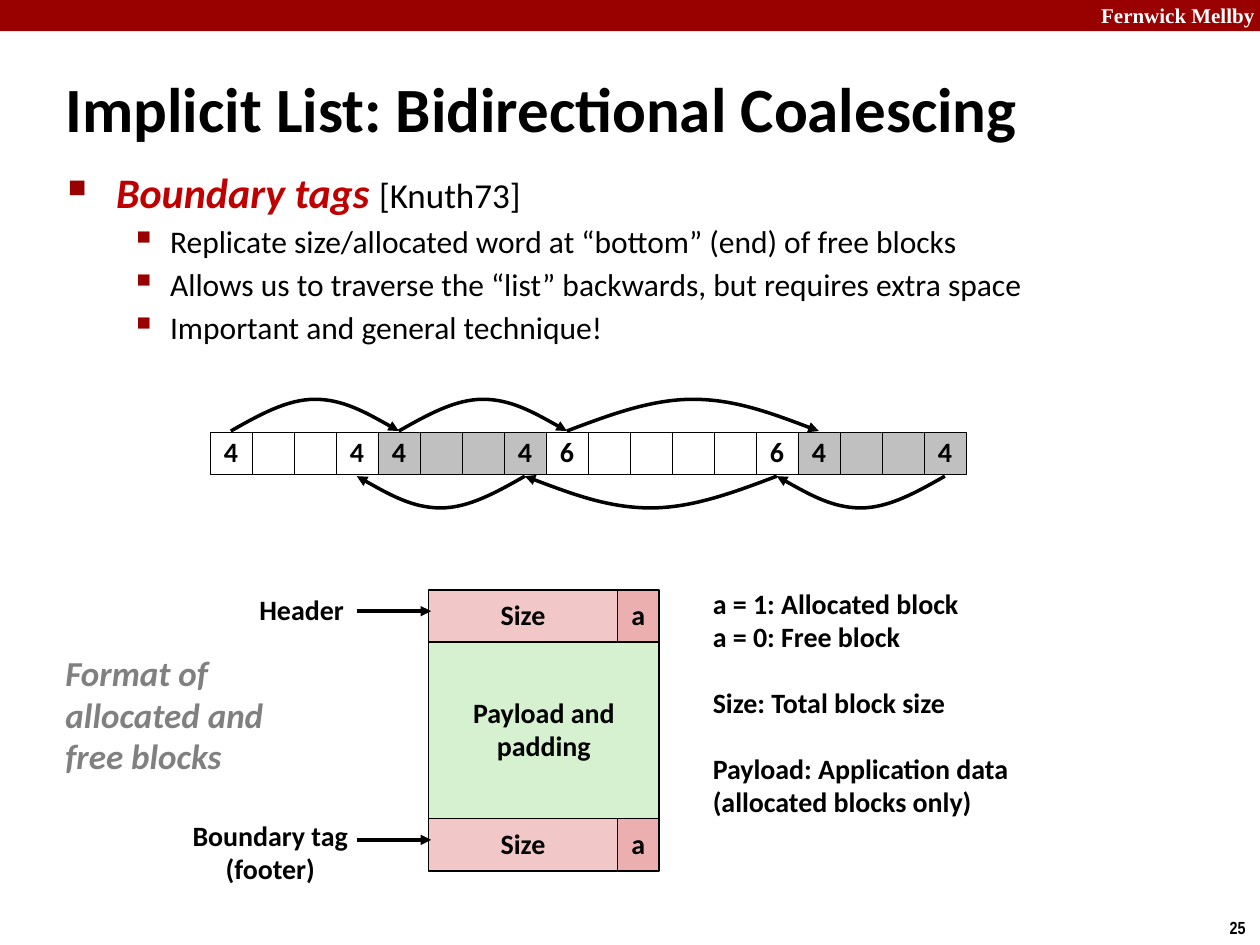
from lxml import etree
from pptx import Presentation
from pptx.dml.color import RGBColor
from pptx.enum.shapes import MSO_CONNECTOR, MSO_SHAPE
from pptx.enum.text import MSO_ANCHOR, MSO_AUTO_SIZE, PP_ALIGN
from pptx.oxml.ns import qn
from pptx.util import Cm, Pt

LEFT, CENTER = PP_ALIGN.LEFT, PP_ALIGN.CENTER
TOP, MIDDLE = MSO_ANCHOR.TOP, MSO_ANCHOR.MIDDLE
RECTANGLE, STRAIGHT = MSO_SHAPE.RECTANGLE, MSO_CONNECTOR.STRAIGHT
NO_AUTOFIT = MSO_AUTO_SIZE.NONE

RED, BLACK, WHITE, GRAY = "990000", "000000", "FFFFFF", "C0C0C0"
PINK, ROSE, GREEN = "F1C7C7", "EBAFAF", "D5F1CF"

TITLE = "Implicit List: Bidirectional Coalescing"
HEADLINE = [("Boundary tags ", dict(size=24, color="C00000", bold=True, italic=True)),
            ("[Knuth73]", dict(size=20, bold=False))]
POINTS = ["Replicate size/allocated word at “bottom” (end) of free blocks",
          "Allows us to traverse the “list” backwards, but requires extra space",
          "Important and general technique!"]
HEAP_BLOCKS = [(4, WHITE), (4, GRAY), (6, WHITE), (4, GRAY)]
FORWARD_LINKS = [(0, 4), (4, 8), (8, 14)]
BACKWARD_LINKS = [(7, 3), (13, 7), (17, 13)]
STRIP_LEFT, STRIP_TOP, CELL = 4.23, 8.71, 15.24 / 18

BLOCK_LEFT, SIZE_WIDTH, FLAG_WIDTH, TAG_HEIGHT = 8.64, 3.81, 0.84, 1.06
HEADER_TOP, PAYLOAD_HEIGHT = 11.89, 3.55
FOOTER_TOP = HEADER_TOP + TAG_HEIGHT + PAYLOAD_HEIGHT

LABELS = [
    (["Format of", "allocated and", "free blocks"], (1.07, 13.06, 4.52, 2.77),
     dict(size=20, color="808080", italic=True)),
    (["Header"], (4.98, 11.86, 2.24, 0.94), {}),
    (["Boundary tag", "(footer)"], (3.61, 16.41, 3.68, 1.6), dict(align=CENTER)),
]
LEGEND = [["a = 1: Allocated block", "a = 0: Free block"],
          ["Size: Total block size"],
          ["Payload: Application data", "(allocated blocks only)"]]


def rgb(value):
    return RGBColor.from_string(value)


def add_span(para, text, size=16, color=BLACK, bold=True, italic=False, font="Calibri"):
    span = para.add_run()
    span.text = text
    span.font.size, span.font.bold, span.font.italic = Pt(size), bold, italic
    span.font.name = font
    span.font.color.rgb = rgb(color)


def write(box, lines, align=LEFT, anchor=TOP, wrap=False, spacing=0.98, gaps=(), **style):
    frame = box.text_frame
    frame.auto_size = NO_AUTOFIT
    frame.word_wrap = wrap
    frame.vertical_anchor = anchor
    for index, line in enumerate(lines):
        para = frame.paragraphs[0] if index == 0 else frame.add_paragraph()
        para.alignment, para.line_spacing = align, spacing
        para.space_before = Pt(19 if index in gaps else 0)
        add_span(para, line, **style)


def add_text(lines, place, **style):
    box = page.shapes.add_textbox(*map(Cm, place))
    write(box, lines, **style)


def add_rect(place, fill, line_width=None, lines=()):
    rect = page.shapes.add_shape(RECTANGLE, *map(Cm, place))
    rect.shadow.inherit = False
    rect.fill.solid()
    rect.fill.fore_color.rgb = rgb(fill)
    if line_width:
        rect.line.color.rgb = rgb(BLACK)
        rect.line.width = Pt(line_width)
    else:
        rect.line.fill.background()
    if lines:
        write(rect, lines, align=CENTER, anchor=MIDDLE)


def style_arrow(arrow):
    arrow.line.color.rgb = rgb(BLACK)
    arrow.line.width = Pt(2)
    etree.SubElement(arrow.line._get_or_add_ln(), qn("a:tailEnd"), type="triangle")


def add_arrow(y):
    arrow = page.shapes.add_connector(STRAIGHT, Cm(7.19), Cm(y), Cm(8.69), Cm(y))
    style_arrow(arrow)
    etree.SubElement(arrow.element.spPr, qn("a:effectLst"))


def add_link(first, last, base, peak):
    start, end = (STRIP_LEFT + (cell + 0.5) * CELL for cell in (first, last))
    middle = (base + peak) / 2
    heights = [base, middle, peak, peak, peak, middle, base]
    points = [(Cm(start + (end - start) * step / 6), Cm(y)) for step, y in enumerate(heights)]
    builder = page.shapes.build_freeform(*points[0])
    builder.add_line_segments(points[1:], close=False)
    link = builder.convert_to_shape()
    link.shadow.inherit = False
    link.fill.background()
    style_arrow(link)
    outline = next(link.element.iter(qn("a:path")))
    segments = outline.findall(qn("a:lnTo"))
    for group in (segments[:3], segments[3:]):
        curve = etree.SubElement(outline, qn("a:cubicBezTo"))
        for segment in group:
            curve.append(segment[0])
            outline.remove(segment)


def add_bullet(para, char, percent, margin, hanging, spacing, before):
    para.line_spacing, para.space_before = spacing, Pt(before)
    props = para._p.get_or_add_pPr()
    props.set("marL", str(Cm(margin)))
    props.set("indent", str(-Cm(hanging)))
    color = etree.SubElement(props, qn("a:buClr"))
    etree.SubElement(color, qn("a:srgbClr"), val=RED)
    etree.SubElement(props, qn("a:buSzPct"), val=str(percent * 1000))
    etree.SubElement(props, qn("a:buChar"), char=char)


deck = Presentation()
deck.slide_width, deck.slide_height = Cm(25.4), Cm(19.05)
page = deck.slides.add_slide(deck.slide_layouts[5])

title = page.shapes.title
title.left, title.top, title.width, title.height = map(Cm, (1.07, 1.37, 24.33, 1.6))
write(title, [TITLE], anchor=MIDDLE, wrap=True, spacing=1.0, size=36)

add_rect((0, 0, 25.4, 0.63), RED)
add_text(["Fernwick Mellby"], (21.95, -0.08, 3.63, 0.76), wrap=True, spacing=1.0,
         size=12, color=WHITE, font="Times New Roman")
add_text(["25"], (24.54, 18.36, 0.86, 0.69), spacing=1.0, size=10, font="Arial Narrow")

body = page.shapes.add_textbox(*map(Cm, (1.12, 3.4, 23.09, 3.68))).text_frame
body.word_wrap = True
for text, style in HEADLINE:
    add_span(body.paragraphs[0], text, **style)
add_bullet(body.paragraphs[0], "■", 60, 0.97, 0.97, 0.83, 12.5)
for point in POINTS:
    para = body.add_paragraph()
    para.level = 1
    add_span(para, point, size=18, bold=False)
    add_bullet(para, "▪", 110, 2.06, 0.79, 0.88, 5.6)

column = 0
for size, fill in HEAP_BLOCKS:
    for word in range(size):
        tag = [str(size)] if word in (0, size - 1) else []
        add_rect((STRIP_LEFT + column * CELL, STRIP_TOP, CELL, CELL), fill, 0.25, tag)
        column += 1
for links, base, peak in ((FORWARD_LINKS, 8.69, 8.05), (BACKWARD_LINKS, 9.6, 10.24)):
    for first, last in links:
        add_link(first, last, base, peak)

add_rect((BLOCK_LEFT, HEADER_TOP + TAG_HEIGHT, SIZE_WIDTH + FLAG_WIDTH, PAYLOAD_HEIGHT),
         GREEN, 1, ["Payload and", "padding"])
for top in (HEADER_TOP, FOOTER_TOP):
    add_rect((BLOCK_LEFT, top, SIZE_WIDTH, TAG_HEIGHT), PINK, 1, ["Size"])
    add_rect((BLOCK_LEFT + SIZE_WIDTH, top, FLAG_WIDTH, TAG_HEIGHT), ROSE, 1, ["a"])
    add_arrow(top + 0.43)

for lines, place, style in LABELS:
    add_text(lines, place, **style)
add_text([line for section in LEGEND for line in section], (14.12, 11.73, 6.53, 5.64), gaps=(2, 3))

deck.save("out.pptx")
